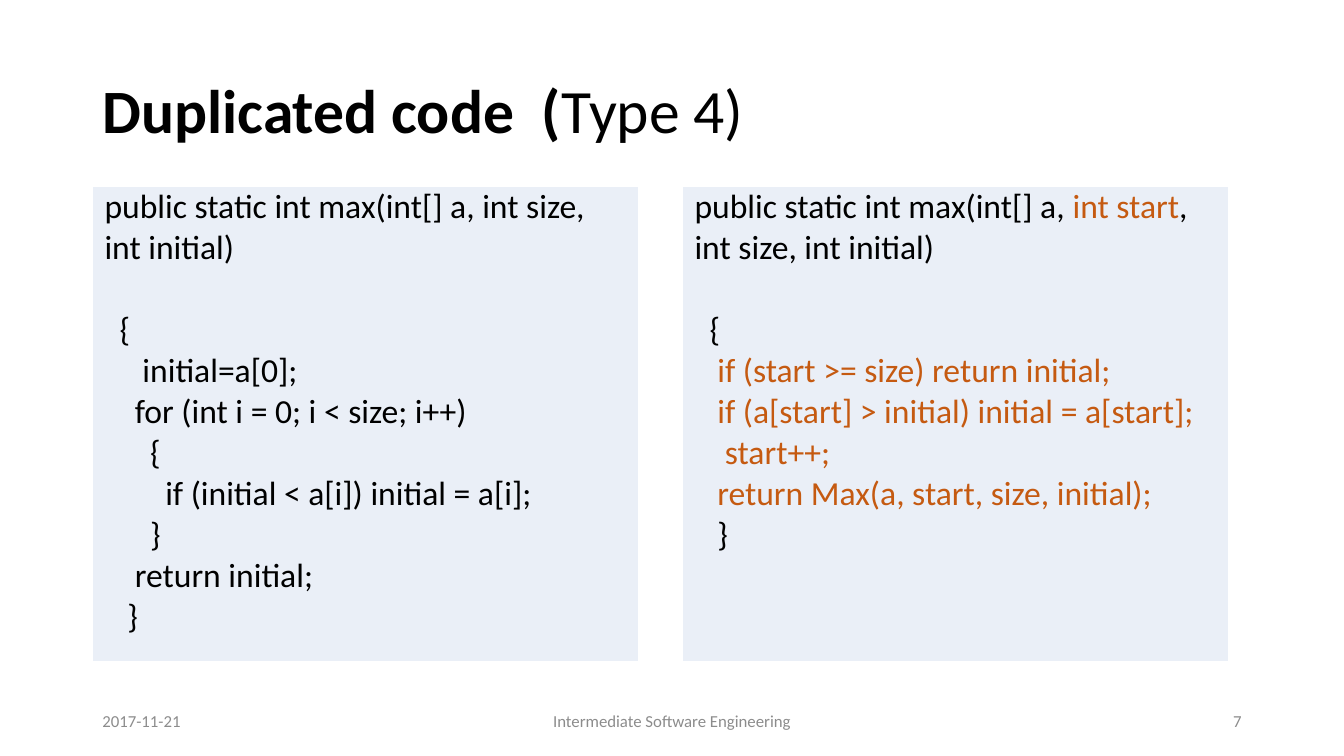
from typing import NamedTuple

from pptx import Presentation
from pptx import util as u
from pptx.dml.color import RGBColor
from pptx.enum import text

BLACK = RGBColor(0x00, 0x00, 0x00)
GRAY = RGBColor(0x8C, 0x8C, 0x8C)
RUST = RGBColor(0xC5, 0x5A, 0x11)
PALE = RGBColor(0xEA, 0xEF, 0xF7)
FACE = "Calibri"
SIZE = 24
SPACE = 5.42
GAP = 29.3
WIDE = u.Inches(13.33)
HIGH = u.Inches(7.5)
LEFT = 6.88
ALIGN = text.PP_ALIGN
MID = text.MSO_ANCHOR.MIDDLE


class Box(NamedTuple):
    x: float
    y: float
    w: float
    h: float

    def place(self) -> tuple[int, int, int, int]:
        return (int(WIDE * self.x / 100), int(HIGH * self.y / 100),
                int(WIDE * self.w / 100), int(HIGH * self.h / 100))


class Bit(NamedTuple):
    words: str
    color: RGBColor = BLACK


class Line(NamedTuple):
    depth: int
    bits: list[Bit]
    gap: float = 0


class Panel(NamedTuple):
    x: float
    lines: list[Line]


class Note(NamedTuple):
    x: float
    w: float
    words: str
    align: ALIGN


PANELS = [
    Panel(LEFT, [
        Line(0, [Bit("public static int max(int[] a, int size, int initial)")]),
        Line(2, [Bit("{")], GAP),
        Line(5, [Bit("initial=a[0];")]),
        Line(4, [Bit("for (int i = 0; i < size; i++)")]),
        Line(6, [Bit("{")]),
        Line(8, [Bit("if (initial < a[i]) initial = a[i];")]),
        Line(6, [Bit("}")]),
        Line(4, [Bit("return initial;")]),
        Line(3, [Bit("}")]),
    ]),
    Panel(50.78, [
        Line(0, [Bit("public static int max(int[] a, "), Bit("int start", RUST),
                 Bit(", int size, int initial)")]),
        Line(2, [Bit("{")], GAP),
        Line(3, [Bit("if (start >= size) return initial;", RUST)]),
        Line(3, [Bit("if (a[start] > initial) initial = a[start];", RUST)]),
        Line(4, [Bit("start++;", RUST)]),
        Line(3, [Bit("return Max(a, start, size, initial);", RUST)]),
        Line(3, [Bit("}")]),
    ]),
]

NOTES = [
    Note(LEFT, 22.5, "2017-11-21", ALIGN.LEFT),
    Note(33.13, 33.75, "Intermediate Software Engineering", ALIGN.CENTER),
    Note(70.63, 22.5, "7", ALIGN.RIGHT),
]


def style(font, size: float, color: RGBColor) -> None:
    font.name = FACE
    font.size = u.Pt(size)
    font.color.rgb = color


def draw_title(slide) -> None:
    title = slide.shapes.title
    title.left, title.top, title.width, title.height = Box(LEFT, 5.33, 86.25, 19.33).place()
    frame = title.text_frame
    frame.auto_size = text.MSO_AUTO_SIZE.NONE
    frame.vertical_anchor = MID
    para = frame.paragraphs[0]
    para.alignment = ALIGN.LEFT
    para.line_spacing = 0.9
    style(para.font, 44, BLACK)
    for words, bold in (("Duplicated code  (", True), ("Type 4)", False)):
        run = para.add_run()
        run.text = words
        run.font.bold = bold


def draw_line(para, line: Line) -> None:
    style(para.font, SIZE, line.bits[0].color)
    para.space_before = u.Pt(line.gap)
    props = para._p.get_or_add_pPr()
    props.set("marL", str(u.Pt(line.depth * SPACE)))
    props.set("indent", "0")
    for bit in line.bits:
        run = para.add_run()
        run.text = bit.words
        style(run.font, SIZE, bit.color)


def draw_panel(slide, panel: Panel) -> None:
    place = Box(panel.x, 24.67, 40.63, 62.8).place()
    table = slide.shapes.add_table(1, 1, *place).table
    table.first_row = False
    table.horz_banding = False
    cell = table.cell(0, 0)
    cell.fill.solid()
    cell.fill.fore_color.rgb = PALE
    cell.margin_left = cell.margin_right = u.Inches(0.12)
    cell.margin_top = cell.margin_bottom = 0
    frame = cell.text_frame
    for i, line in enumerate(panel.lines):
        draw_line(frame.add_paragraph() if i else frame.paragraphs[0], line)


def draw_note(slide, note: Note) -> None:
    frame = slide.shapes.add_textbox(*Box(note.x, 92.67, note.w, 5.33).place()).text_frame
    frame.word_wrap = True
    frame.vertical_anchor = MID
    para = frame.paragraphs[0]
    para.text = note.words
    para.alignment = note.align
    style(para.font, 12, GRAY)


def main() -> None:
    deck = Presentation()
    deck.slide_width, deck.slide_height = WIDE, HIGH
    slide = deck.slides.add_slide(deck.slide_layouts[5])
    draw_title(slide)
    for panel in PANELS:
        draw_panel(slide, panel)
    for note in NOTES:
        draw_note(slide, note)
    deck.save("out.pptx")


if __name__ == "__main__":
    main()
